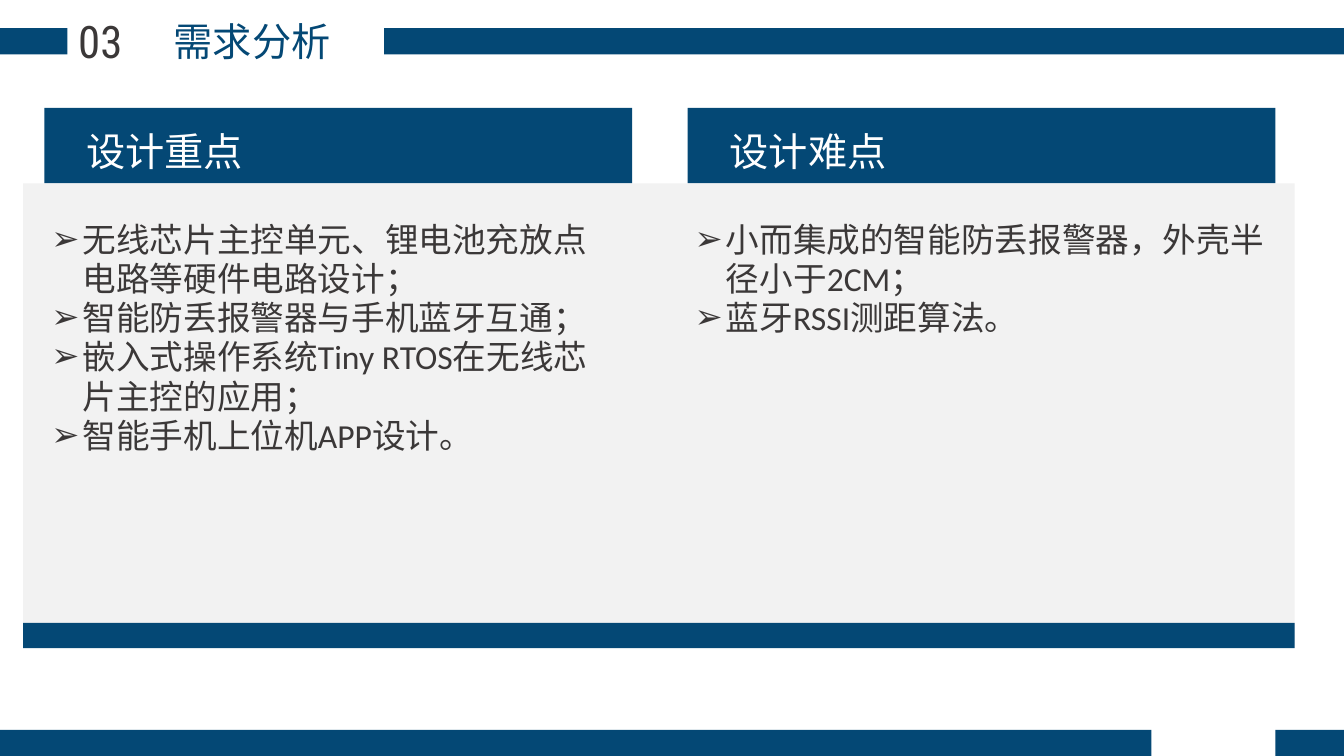
from lxml import etree
from pptx import Presentation
from pptx.dml.color import RGBColor
from pptx.enum import shapes, text
from pptx.oxml.ns import qn
from pptx.util import Inches, Pt

BLUE, PANEL, DARK, WHITE = "044875", "F2F2F2", "3B3838", "FFFFFF"
CJK = "Noto Sans CJK SC"


def paint(color_format, hex_color):
    color_format.rgb = RGBColor.from_string(hex_color)


def write(sp, box, lines, align, size, font, color):
    """Place sp at box and fill it with one formatted paragraph per line."""
    sp.left, sp.top, sp.width, sp.height = map(Inches, box)
    tf = sp.text_frame
    frame = {"word_wrap": True, "auto_size": text.MSO_AUTO_SIZE.NONE,
             "vertical_anchor": text.MSO_ANCHOR.TOP}
    for name, value in frame.items():
        setattr(tf, name, value)
    tf.text = "\n".join(lines)
    for p in tf.paragraphs:
        p.alignment = align
        r = p.runs[0]
        r.font.size, r.font.name = Pt(size), font
        paint(r.font.color, color)
        etree.SubElement(r.font._element, qn("a:ea"), typeface=CJK)


prs = Presentation()
prs.slide_width, prs.slide_height = Inches(13.33), Inches(7.5)
s = prs.slides.add_slide(prs.slide_layouts.get_by_name("Two Content"))
title, *bodies = s.placeholders

bars = [
    (0, 0.28, 0.67, 0.26, BLUE),
    (3.81, 0.28, 9.52, 0.26, BLUE),
    (0, 7.24, 11.42, 0.26, BLUE),
    (12.65, 7.24, 0.68, 0.26, BLUE),
    (0.44, 1.07, 5.83, 0.75, BLUE),
    (6.82, 1.07, 5.83, 0.75, BLUE),
    (0.23, 1.82, 12.61, 4.58, PANEL),
    (0.23, 6.18, 12.61, 0.25, BLUE),
]
for *box, color in bars:
    sp = s.shapes.add_shape(shapes.MSO_SHAPE.RECTANGLE, *map(Inches, box))
    sp.shadow.inherit = False
    sp.fill.solid()
    paint(sp.fill.fore_color, color)
    sp.line.fill.background()

center, left = text.PP_ALIGN.CENTER, text.PP_ALIGN.LEFT
write(title, (0.7, 0.12, 3.6, 0.57), ["需求分析"], center, 28, CJK, BLUE)

labels = [
    ("03", (0.6, 0.09, 0.79, 0.64), 32, "Roboto Condensed", DARK),
    ("设计重点", (-0.15, 1.21, 3.56, 0.58), 28, "Calibri", WHITE),
    ("设计难点", (6.28, 1.21, 3.47, 0.58), 28, "Calibri", WHITE),
]
for label, box, size, font, color in labels:
    sp = s.shapes.add_textbox(0, 0, 0, 0)
    write(sp, box, [label], center, size, font, color)

columns = [
    ((0.41, 2.13, 5.83, 3.05), [
        "无线芯片主控单元、锂电池充放点电路等硬件电路设计；",
        "智能防丢报警器与手机蓝牙互通；",
        "嵌入式操作系统Tiny RTOS在无线芯片主控的应用；",
        "智能手机上位机APP设计。",
    ]),
    ((6.79, 2.13, 5.86, 1.87), [
        "小而集成的智能防丢报警器，外壳半径小于2CM；",
        "蓝牙RSSI测距算法。",
    ]),
]
spacing = {"line_spacing": Pt(28), "space_before": Pt(0), "space_after": Pt(0)}
for body, (box, lines) in zip(bodies, columns):
    write(body, box, lines, left, 24, "Calibri", DARK)
    for p in body.text_frame.paragraphs:
        for name, value in spacing.items():
            setattr(p, name, value)
        pPr = p._p.get_or_add_pPr()
        pPr.set("marL", str(Inches(0.31)))
        pPr.set("indent", str(-Inches(0.31)))
        etree.SubElement(pPr, qn("a:buChar"), char="➢")

# Placeholders come first in the stack, so lift them above the panel.
for placeholder in (title, *bodies):
    s.shapes.element.append(placeholder.element)

prs.save("out.pptx")
